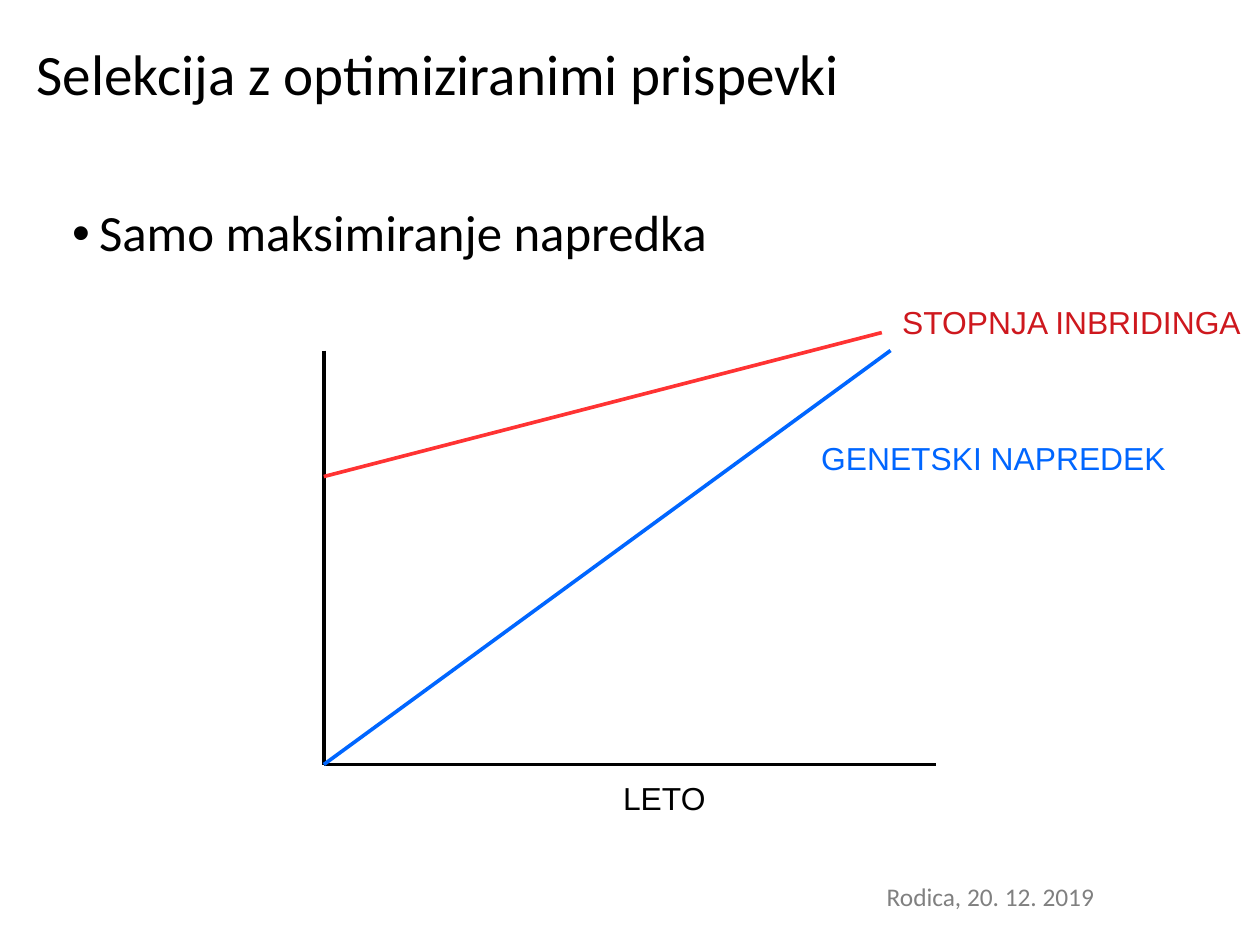
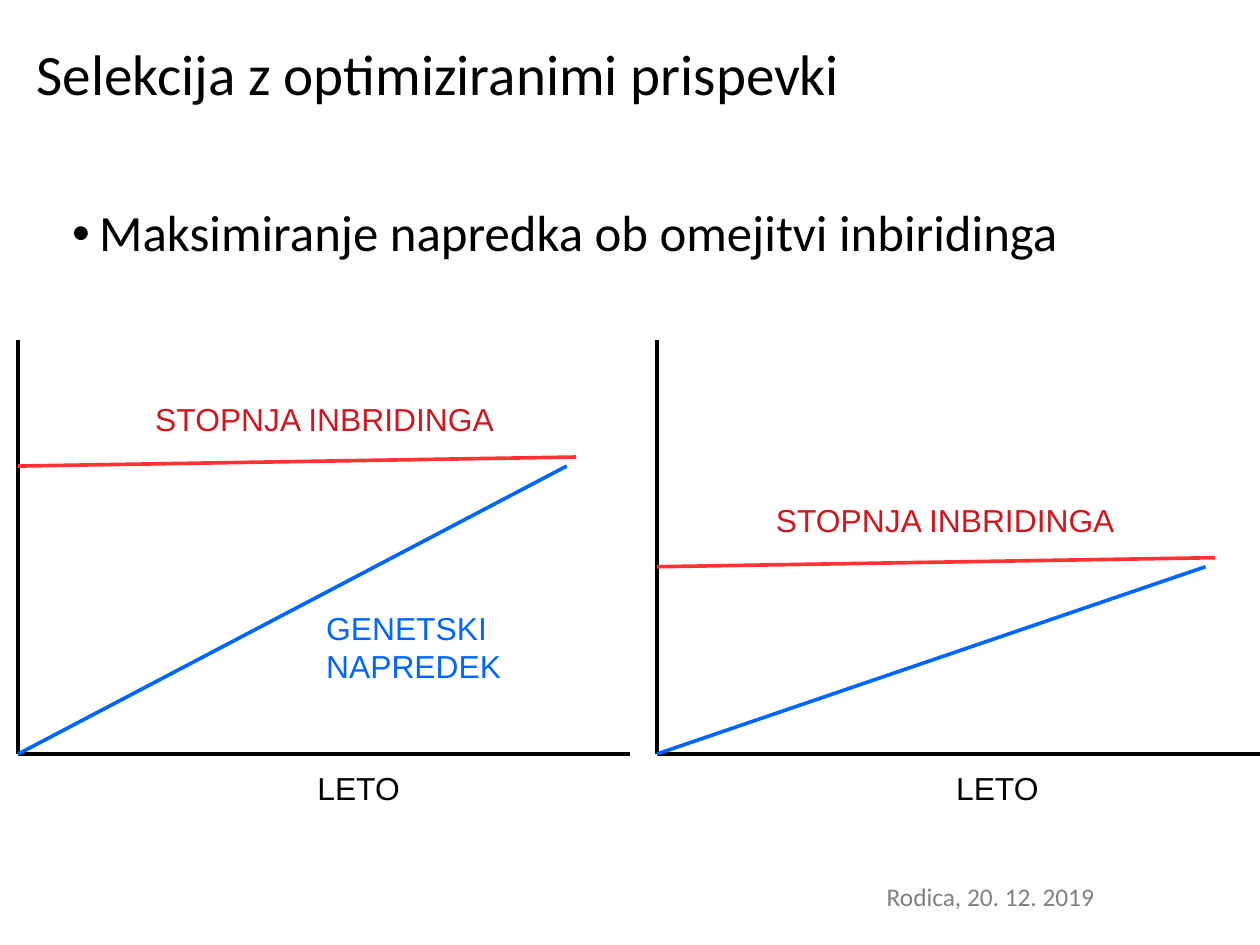
"""Build two slides that plot genetic gain against the rate of inbreeding."""
import pptx
import pptx.dml.color
import pptx.enum.shapes
import pptx.enum.text
import pptx.oxml
import pptx.util

Pt = pptx.util.Pt
MID = pptx.enum.text.MSO_ANCHOR.MIDDLE
WIDE, HIGH = 793.7, 595.28
BLACK, GREY, RED, ROSE, BLUE = "000000", "808080", "CE181E", "FF3333", "0066FF"
LABEL = {"name": "Arial", "size": Pt(20)}
TITLE = {"name": "Calibri", "size": Pt(36)}
BODY = {"name": "Calibri", "size": Pt(32)}
FOOT = {"name": "Calibri", "size": Pt(16)}
PLAIN = {"word_wrap": True, "margin_left": Pt(7.2), "margin_right": Pt(7.2),
         "margin_top": Pt(3.6), "margin_bottom": Pt(3.6)}
HEAD = {"word_wrap": True, "margin_left": 0, "margin_right": 0,
        "margin_top": Pt(2), "margin_bottom": 0, "vertical_anchor": MID}
AXIS_W, AXIS_H = 385.5, 260.8


def tint(code):
    """Turn a hex string into a colour."""
    return pptx.dml.color.RGBColor.from_string(code)


def put(item, values):
    """Set each attribute in a dict of format values."""
    for name, value in values.items():
        setattr(item, name, value)


def node(tag, attrs=""):
    """Make one drawing element."""
    space = "http://schemas.openxmlformats.org/drawingml/2006/main"
    return pptx.oxml.parse_xml(f'<a:{tag} xmlns:a="{space}" {attrs}/>')


def text(slide, box, lines, font, code=BLACK, frame=PLAIN):
    """Add a text box whose one paragraph breaks between the lines."""
    area = slide.shapes.add_textbox(*map(Pt, box)).text_frame
    put(area, frame)
    para = area.paragraphs[0]
    for rank, words in enumerate(lines):
        if rank:
            para.add_line_break()
        run = para.add_run()
        run.text = words
        put(run.font, font)
        run.font.color.rgb = tint(code)
    return para


def label(slide, spot, lines, code):
    """Name a line of a graph."""
    text(slide, (*spot, 255, 29.5 if len(lines) == 1 else 52), lines, LABEL, code)


def line(slide, start, end, code):
    """Draw a straight line."""
    kind = pptx.enum.shapes.MSO_CONNECTOR.STRAIGHT
    link = slide.shapes.add_connector(kind, *map(Pt, (*start, *end)))
    link.line.width = Pt(2.3)
    link.line.color.rgb = tint(code)
    link._element.spPr.append(node("effectLst"))


def graph(slide, left, base, rate, gain):
    """Draw axes, the inbreeding line (two heights) and the gain line."""
    zero = (left, base)
    low, run, high = rate
    reach, rise = gain
    line(slide, (left, base - AXIS_H), zero, BLACK)
    line(slide, zero, (left + AXIS_W, base), BLACK)
    line(slide, (left, base - low), (left + run, base - high), ROSE)
    line(slide, zero, (left + reach, base - rise), BLUE)
    text(slide, (left + 181.4, base + 5.7, 147.5, 29.5), ["LETO"], LABEL)


def page(deck, point):
    """Add a slide with its title, bullet and footer."""
    slide = deck.slides.add_slide(deck.slide_layouts[6])
    text(slide, (551.5, 551.5, 224.5, 34.5), ["Rodica, 20. 12. 2019"], FOOT, GREY)
    title = text(slide, (23, 9.4, 649.5, 75), ["Selekcija z optimiziranimi prispevki"],
                 TITLE, frame=HEAD)
    body = text(slide, (45.4, 119.5, 649.5, 54.5), [point], BODY, frame=HEAD)
    title.line_spacing = body.line_spacing = 0.93
    props = body._p.get_or_add_pPr()
    dent = Pt(17)
    props.set("marL", str(dent))
    props.set("indent", str(-dent))
    props.append(node("buFont", 'typeface="Arial"'))
    props.append(node("buChar", 'char="•"'))
    return slide


def main():
    """Build and save the deck."""
    deck = pptx.Presentation()
    put(deck, {"slide_width": Pt(WIDE), "slide_height": Pt(HIGH)})
    rate, gain = ["STOPNJA INBRIDINGA"], ["GENETSKI ", "NAPREDEK"]

    slide = page(deck, "Samo maksimiranje napredka")
    graph(slide, 204, 481.6, (181.4, 351.5, 272.1), (357, AXIS_H))
    label(slide, (510.2, 272.8), ["".join(gain)], BLUE)
    label(slide, (561.2, 187), rate, RED)

    slide = page(deck, "Maksimiranje napredka ob omejitvi inbiridinga")
    for left, rise in ((11.4, 181.4), (413.8, 118)):
        graph(slide, left, 475, (rise, 351.5, rise + 5.7), (345.6, rise))
    label(slide, (198.4, 379.8), gain, BLUE)
    label(slide, (90.7, 248), rate, RED)
    label(slide, (481.7, 311.6), rate, RED)
    deck.save("out.pptx")


if __name__ == "__main__":
    main()
